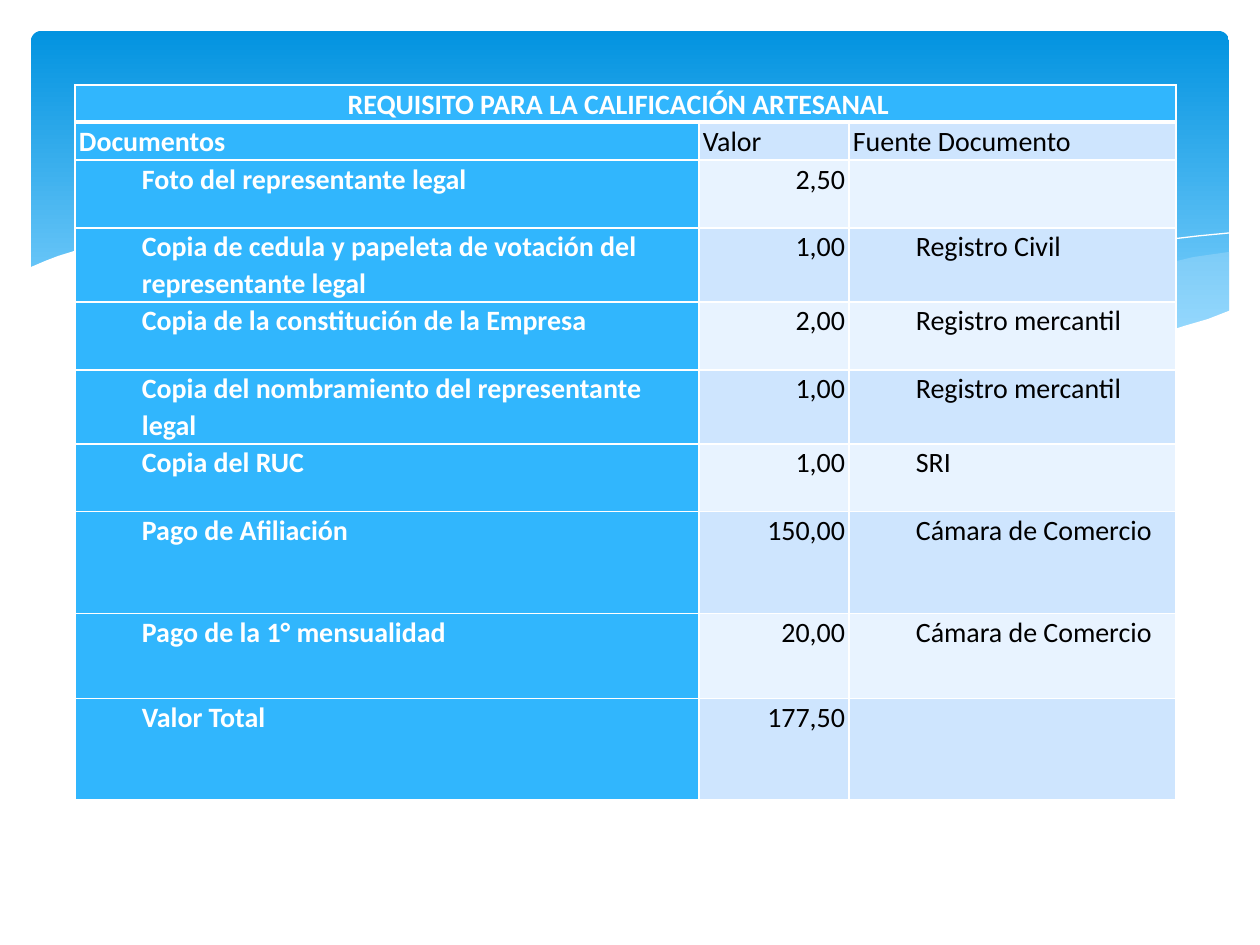
import pptx
import pptx.util
import pptx.dml.color
import pptx.enum.dml
import pptx.enum.shapes
import pptx.enum.text
import pptx.oxml
import pptx.oxml.ns

PX = 914400 / 126
COLORS = {
    "band_top": "0293E0", "band_end": "83D3FE", "wave": "C6E7FC",
    "white": "FFFFFF", "black": "000000",
    "head": "31B6FD", "odd": "CEE5FE", "even": "E8F3FF",
}
FONT, TEXT_SIZE = "Calibri", 16
ALIGN = pptx.enum.text.PP_ALIGN

# Wave outlines, in px from the corner of the waves box
WAVE_RIGHT = [
    (1200, 20), (1165, 25), (1131, 33), (1094, 40), (1056, 49), (985, 67),
    (920, 80), (861, 92), (804, 102), (842, 107), (877, 111), (910, 114),
    (940, 117), (983, 118), (1023, 117), (1058, 114), (1091, 111),
    (1121, 104), (1149, 98), (1167, 92), (1184, 86), (1201, 79), (1201, 20)]
WAVE_MIDDLE = [
    (1096, 112), (1062, 107), (988, 96), (905, 79), (813, 59), (764, 48),
    (724, 38), (688, 30), (653, 24), (619, 17), (587, 12), (528, 6),
    (474, 2), (426, 1), (384, 4), (331, 9), (378, 15), (427, 24), (480, 34),
    (537, 48), (639, 70), (707, 86), (770, 97), (828, 106), (881, 113),
    (930, 117), (974, 118), (1014, 118), (1051, 117), (1075, 114)]
LINE_FALLING = [
    (360, 14), (384, 10), (416, 6), (459, 4), (517, 4), (562, 6), (614, 10),
    (672, 16), (737, 25), (809, 36), (887, 53), (973, 72), (1066, 97),
    (1114, 111)]
LINE_RISING = [
    (743, 92), (794, 78), (847, 64), (913, 49), (987, 33), (1062, 19),
    (1118, 10), (1169, 4), (1200, 1)]
WAVE_FRONT = [
    (1202, 78), (1179, 87), (1155, 94), (1130, 102), (1104, 107),
    (1074, 112), (1042, 114), (1008, 117), (970, 116), (930, 114),
    (886, 111), (838, 106), (787, 98), (731, 88), (670, 77), (605, 62),
    (534, 45), (464, 29), (399, 16), (339, 7), (286, 2), (237, 0), (194, 0),
    (155, 1), (121, 4), (91, 9), (67, 14), (45, 19), (29, 24), (16, 29),
    (2, 35), (0, 36), (0, 183), (1202, 183)]

TITLE = "REQUISITO PARA LA CALIFICACIÓN ARTESANAL"
COLUMNS = ["Documentos", "Valor", "Fuente Documento"]
DOCUMENTS = [
    ("Foto del representante legal", "2,50", ""),
    ("Copia de cedula y papeleta de votación del representante legal",
     "1,00", "Registro Civil"),
    ("Copia de la constitución de la Empresa", "2,00", "Registro mercantil"),
    ("Copia del nombramiento del representante legal", "1,00",
     "Registro mercantil"),
    ("Copia del RUC", "1,00", "SRI"),
    ("Pago de Afiliación", "150,00", "Cámara de Comercio"),
    ("Pago de la 1° mensualidad", "20,00", "Cámara de Comercio"),
    ("Valor Total", "177,50", ""),
]
COL_WIDTHS = [624, 150, 327]
ROW_HEIGHTS = [37, 38, 68, 74, 68, 74, 68, 102, 85, 101]


def px(n):
    return pptx.util.Emu(round(n * PX))


def rgb(name):
    return pptx.dml.color.RGBColor.from_string(COLORS[name])


def set_attrs(obj, values):
    for name, value in values.items():
        setattr(obj, name, value)


def add_band(slide, x, y, w, h):
    """Rounded band with a vertical gradient."""
    sp = slide.shapes.add_shape(
        pptx.enum.shapes.MSO_SHAPE.ROUNDED_RECTANGLE,
        px(x), px(y), px(w), px(h))
    sp.shadow.inherit = False
    sp.adjustments[0] = 0.03
    sp.line.fill.background()
    sp.fill.gradient()
    sp.fill.gradient_angle = 270
    stops = [("band_top", 0), ("band_end", 0.9)]
    for stop, (color, position) in zip(sp.fill.gradient_stops, stops):
        stop.color.rgb = rgb(color)
        stop.position = position


def add_curve(slide, x, y, points, fill=None, alpha=100):
    """Closed filled outline, or an open white line when there is no fill."""
    (x0, y0), *rest = [(x + dx, y + dy) for dx, dy in points]
    fb = slide.shapes.build_freeform(x0, y0, scale=PX)
    fb.add_line_segments(rest, close=fill is not None)
    sp = fb.convert_to_shape()
    sp.shadow.inherit = False
    if fill is None:
        sp.fill.background()
        sp.line.color.rgb = rgb("white")
        sp.line.width = pptx.util.Pt(0)
        return
    sp.line.fill.background()
    sp.fill.solid()
    sp.fill.fore_color.rgb = rgb(fill)
    if alpha < 100:
        clr = sp._element.spPr.find(".//" + pptx.oxml.ns.qn("a:srgbClr"))
        node = pptx.oxml.parse_xml(
            f'<a:alpha {pptx.oxml.ns.nsdecls("a")} val="{alpha * 1000}"/>')
        clr.append(node)


def add_waves(slide, x, y):
    add_curve(slide, x, y, WAVE_RIGHT, "wave", 29)
    add_curve(slide, x, y, WAVE_MIDDLE, "wave", 40)
    add_curve(slide, x, y, LINE_FALLING)
    add_curve(slide, x, y, LINE_RISING)
    add_curve(slide, x, y, WAVE_FRONT, "white")


def set_borders(cell, widths):
    """White borders; widths in points for the sides L, R, T, B."""
    tcPr = cell._tc.get_or_add_tcPr()
    for i, (side, width) in enumerate(zip("LRTB", widths)):
        tcPr.insert(i, pptx.oxml.parse_xml(
            f'<a:ln{side} {pptx.oxml.ns.nsdecls("a")} w="{width * 12700}">'
            f'<a:solidFill><a:srgbClr val="{COLORS["white"]}"/></a:solidFill>'
            f'</a:ln{side}>'))


def fill_cell(cell, text, fill, bold, align, indent):
    set_attrs(cell, {"margin_left": px(4), "margin_right": px(4),
                     "margin_top": 0, "margin_bottom": 0})
    cell.fill.solid()
    cell.fill.fore_color.rgb = rgb(fill)
    p = cell.text_frame.paragraphs[0]
    set_attrs(p, {"alignment": align, "line_spacing": 1.07})
    p._p.get_or_add_pPr().set("marL", str(px(indent)))
    set_attrs(p.font, {"size": pptx.util.Pt(TEXT_SIZE), "name": FONT})
    if text:
        r = p.add_run()
        r.text = text
        set_attrs(r.font, {"size": pptx.util.Pt(TEXT_SIZE), "name": FONT,
                           "bold": bold})
        r.font.color.rgb = rgb("white" if bold else "black")


def add_requirements_table(slide, x, y):
    rows = [(TITLE, "", ""), COLUMNS, *DOCUMENTS]
    table = slide.shapes.add_table(
        len(rows), len(COL_WIDTHS), px(x), px(y),
        px(sum(COL_WIDTHS)), px(sum(ROW_HEIGHTS))).table
    set_attrs(table, {"first_row": False, "horz_banding": False})
    for column, width in zip(table.columns, COL_WIDTHS):
        column.width = px(width)
    for row, height in zip(table.rows, ROW_HEIGHTS):
        row.height = px(height)

    for i, row in enumerate(rows):
        for j, text in enumerate(row):
            headed = i == 0 or j == 0
            fill = "head" if headed else "odd" if i % 2 else "even"
            align = ALIGN.LEFT
            if i == 0:
                align = ALIGN.CENTER
            elif i > 1 and j == 1:
                align = ALIGN.RIGHT
            cell = table.cell(i, j)
            fill_cell(cell, text, fill, headed, align, 63 if i > 1 else 0)
            set_borders(cell, (1, 1, 3 if i == 1 else 1, 3 if i == 0 else 1))

    # Title row spans the table and sits slightly left of centre
    title = table.cell(0, 0)
    title.merge(table.cell(0, len(COL_WIDTHS) - 1))
    title.margin_right = px(18)


def main():
    prs = pptx.Presentation()
    set_attrs(prs, {"slide_width": px(1260), "slide_height": px(945)})
    slide = prs.slides.add_slide(prs.slide_layouts[6])
    add_band(slide, 31, 31, 1198, 340)
    add_waves(slide, 29, 232)
    add_requirements_table(slide, 75, 85)
    prs.save("out.pptx")


if __name__ == "__main__":
    main()
